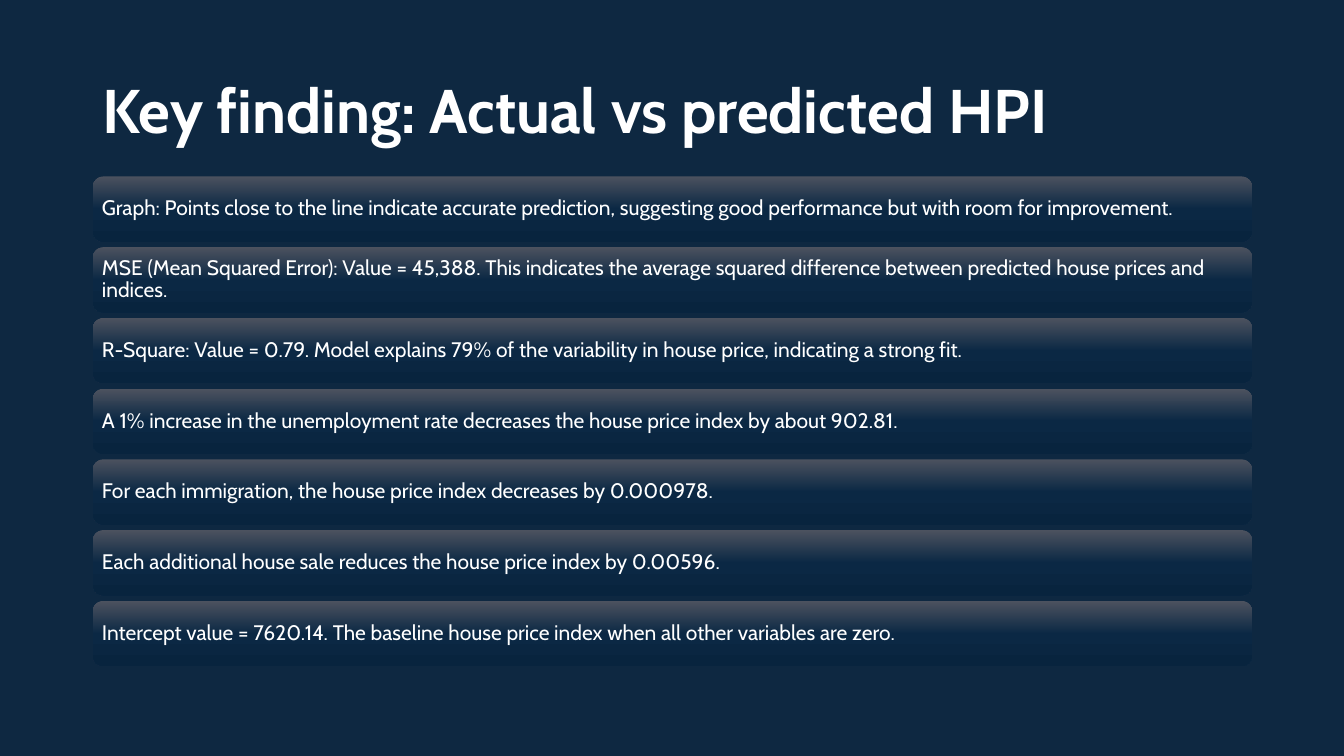
from copy import deepcopy

from pptx import Presentation
from pptx.dml.color import RGBColor
from pptx.enum.shapes import MSO_SHAPE
from pptx.enum.text import MSO_ANCHOR, PP_ALIGN
from pptx.oxml.ns import qn
from pptx.util import Inches, Pt

FINDINGS = [
    "Graph: Points close to the line indicate accurate prediction, suggesting good performance but with room for improvement.",
    "MSE (Mean Squared Error): Value = 45,388. This indicates the average squared difference between predicted house prices and indices.",
    "R-Square: Value = 0.79. Model explains 79% of the variability in house price, indicating a strong fit.",
    "A 1% increase in the unemployment rate decreases the house price index by about 902.81.",
    "For each immigration, the house price index decreases by 0.000978.",
    "Each additional house sale reduces the house price index by 0.00596.",
    "Intercept value = 7620.14. The baseline house price index when all other variables are zero.",
]
BAR_GRADIENT = [(0, "4C525F"), (0.5, "0B2844"), (1, "08243E")]
LEFT, WIDTH = 0.92, 11.5
FIRST_TOP, LAST_TOP, BAR_HEIGHT = 1.75, 5.96, 0.65


def color(hex_string):
    return RGBColor.from_string(hex_string)


def write_text(shape, text, size, bold=False):
    """Fill the shape with one left-aligned, vertically centred white line."""
    frame = shape.text_frame
    frame.word_wrap = True
    frame.vertical_anchor = MSO_ANCHOR.MIDDLE
    paragraph = frame.paragraphs[0]
    paragraph.alignment = PP_ALIGN.LEFT
    paragraph.line_spacing = 0.9
    run = paragraph.add_run()
    run.text = text
    run.font.name = "Cabin"
    run.font.size = Pt(size)
    run.font.bold = bold
    run.font.color.rgb = color("FFFFFF")


presentation = Presentation()
presentation.slide_width = Inches(13.33)
presentation.slide_height = Inches(7.5)
slide = presentation.slides.add_slide(presentation.slide_layouts[6])
slide.background.fill.solid()
slide.background.fill.fore_color.rgb = color("0E2841")

title = slide.shapes.add_textbox(Inches(LEFT), Inches(0.4), Inches(WIDTH), Inches(1.45))
write_text(title, "Key finding: Actual vs predicted HPI", 44, bold=True)

pitch = (LAST_TOP - FIRST_TOP) / (len(FINDINGS) - 1)
for index, finding in enumerate(FINDINGS):
    bar = slide.shapes.add_shape(
        MSO_SHAPE.ROUNDED_RECTANGLE,
        Inches(LEFT), Inches(FIRST_TOP + index * pitch), Inches(WIDTH), Inches(BAR_HEIGHT),
    )
    bar.shadow.inherit = False
    bar.line.fill.background()

    bar.fill.gradient()
    bar.fill.gradient_angle = 270
    # A new gradient has two stops; the bar needs a third.
    stop_list = bar._element.spPr.find(qn("a:gradFill")).find(qn("a:gsLst"))
    stop_list.append(deepcopy(stop_list[0]))
    for stop, (position, hex_string) in zip(bar.fill.gradient_stops, BAR_GRADIENT):
        stop.position = position
        stop.color.rgb = color(hex_string)

    frame = bar.text_frame
    frame.margin_left = frame.margin_right = Inches(0.06)
    frame.margin_top = frame.margin_bottom = Inches(0.06)
    write_text(bar, finding, 15)

presentation.save("out.pptx")
